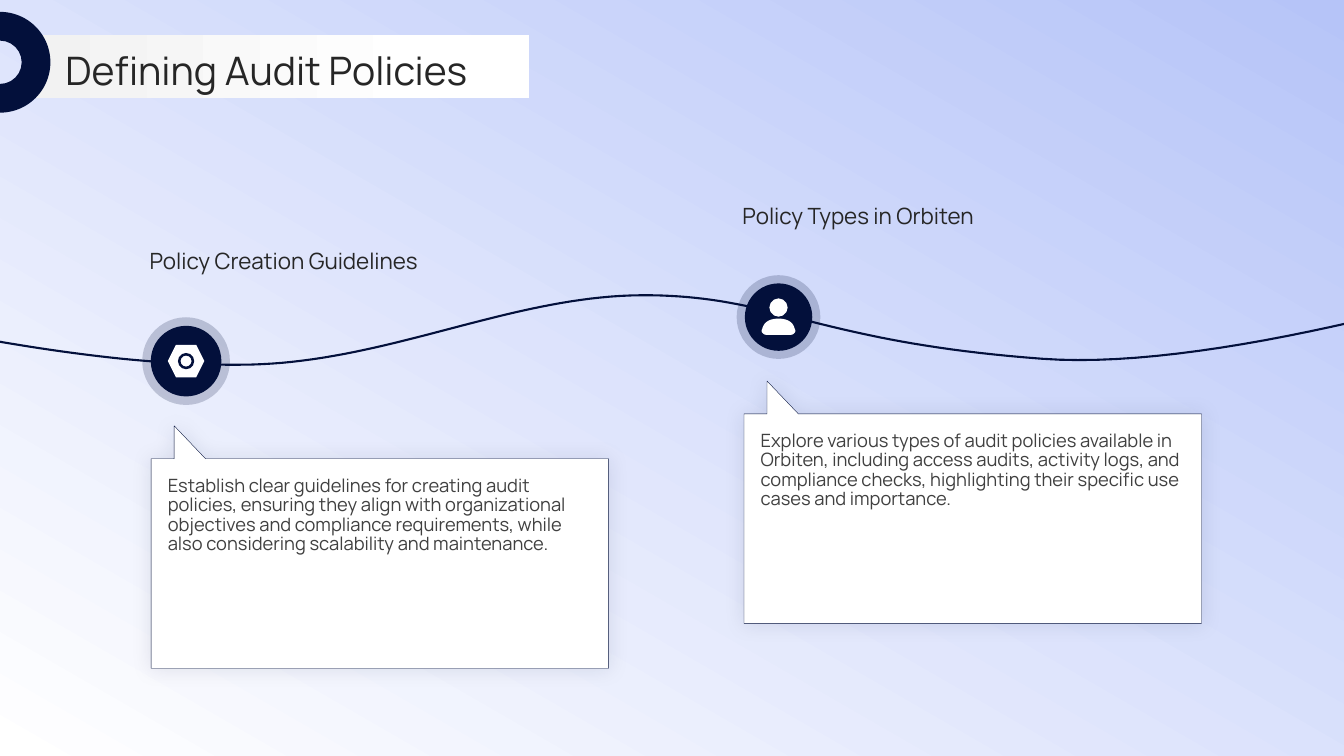
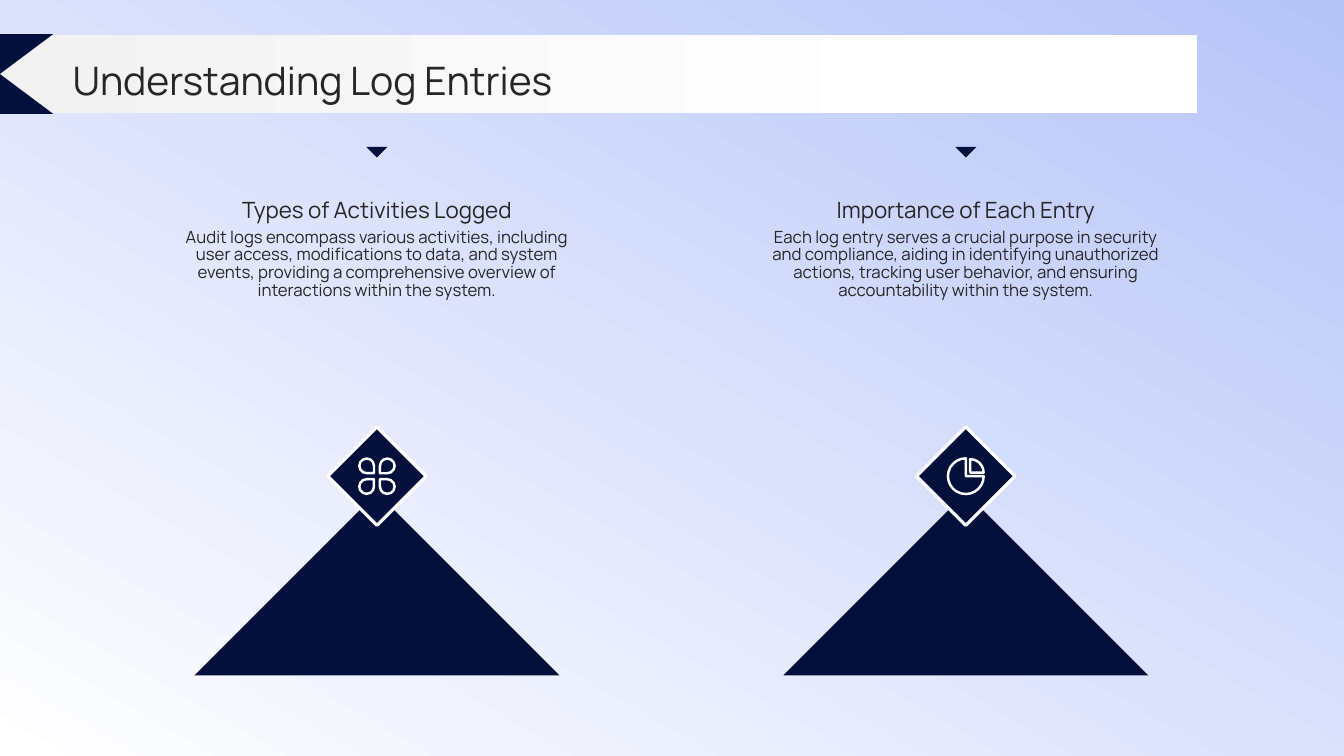
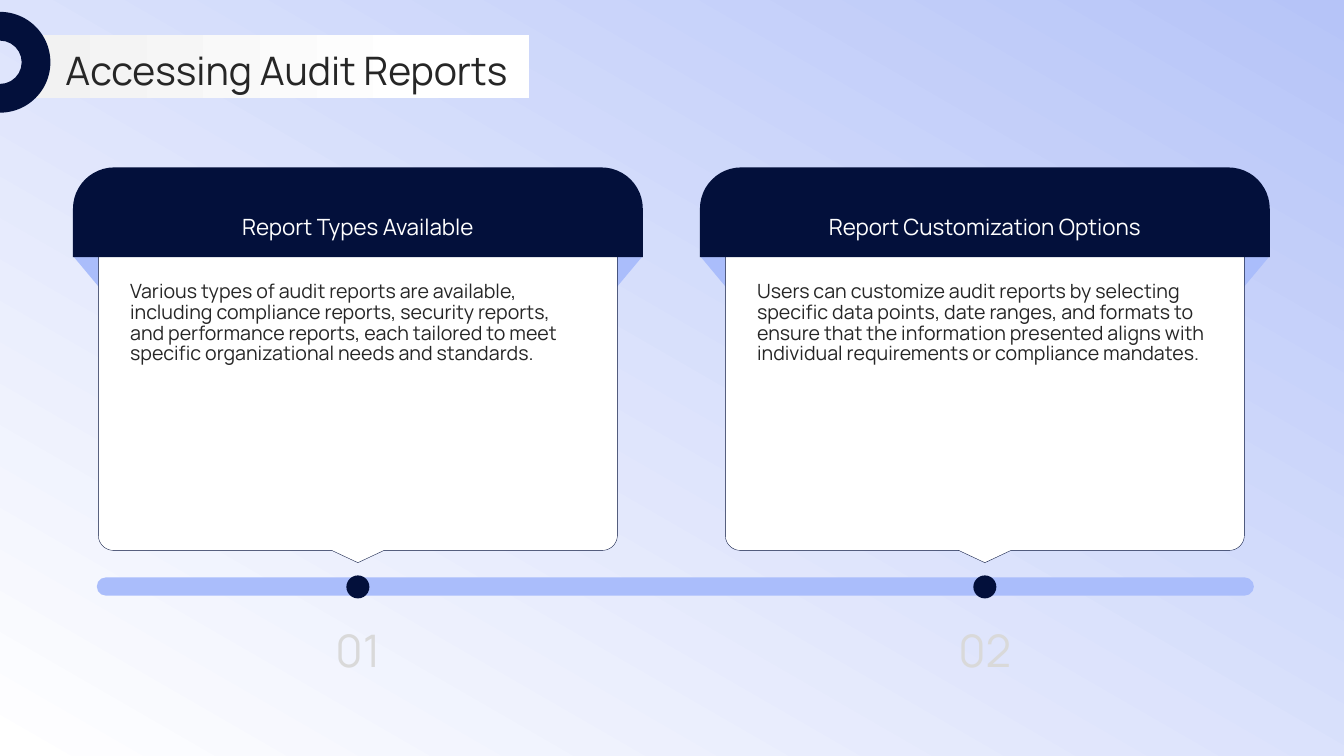
from lxml import etree
from pptx import Presentation
from pptx.dml.color import RGBColor
from pptx.enum.shapes import MSO_SHAPE
from pptx.enum.text import MSO_ANCHOR, MSO_AUTO_SIZE, PP_ALIGN
from pptx.oxml.ns import qn
from pptx.util import Cm, Pt

RECTANGLE, OVAL, ROUNDED = MSO_SHAPE.RECTANGLE, MSO_SHAPE.OVAL, MSO_SHAPE.ROUNDED_RECTANGLE
LEFT, CENTER = PP_ALIGN.LEFT, PP_ALIGN.CENTER
TOP, MIDDLE, BOTTOM = MSO_ANCHOR.TOP, MSO_ANCHOR.MIDDLE, MSO_ANCHOR.BOTTOM

WIDTH, HEIGHT = 33.87, 19.05
FONT = "Manrope"
NAVY, PERIWINKLE, SKY, WHITE = "03103B", "AABDFB", "B6C4F8", "FFFFFF"
INK, SOFT_INK, MIST, NUMBER_GREY = "262626", "404040", "F2F2F2", "D9D9D9"
BODY_SPACING = 0.88


def rgb(value):
    return RGBColor.from_string(value)


def paint_gradient(fill, first, last, angle, end=1.0):
    fill.gradient()
    fill.gradient_angle = angle
    for stop, color, position in zip(fill.gradient_stops, (first, last), (0, end)):
        stop.color.rgb = rgb(color)
        stop.position = position


def paint(shape, fill=None, line=None, weight=0.25):
    """Give a shape a flat fill and outline, either of which may be absent."""
    shape.shadow.inherit = False
    if fill:
        shape.fill.solid()
        shape.fill.fore_color.rgb = rgb(fill)
    else:
        shape.fill.background()
    if line:
        shape.line.color.rgb = rgb(line)
        shape.line.width = Pt(weight)
    else:
        shape.line.fill.background()
    return shape


def add_preset(page, kind, left, top, width, height, fill=None, line=None,
               weight=0.25, adjust=(), turn=0):
    shape = page.shapes.add_shape(kind, Cm(left), Cm(top), Cm(width), Cm(height))
    for index, value in enumerate(adjust):
        shape.adjustments[index] = value
    shape.rotation = turn
    return paint(shape, fill, line, weight)


def add_centered(page, kind, x, y, width, height=None, **style):
    height = height or width
    return add_preset(page, kind, x - width / 2, y - height / 2, width, height, **style)


def trace(start, *steps, samples=40):
    """Return points along steps: (x, y) is a line, six numbers a cubic curve."""
    points = [start]
    for step in steps:
        if len(step) == 2:
            points.append(step)
            continue
        x0, y0 = points[-1]
        x1, y1, x2, y2, x3, y3 = step
        for index in range(1, samples + 1):
            t = index / samples
            a, b, c, d = (1 - t) ** 3, 3 * t * (1 - t) ** 2, 3 * t * t * (1 - t), t ** 3
            points.append((a * x0 + b * x1 + c * x2 + d * x3,
                           a * y0 + b * y1 + c * y2 + d * y3))
    return points


def add_outline(page, points, fill=None, line=None, weight=0.25, close=True):
    corners = [(Cm(x), Cm(y)) for x, y in points]
    builder = page.shapes.build_freeform(*corners[0], scale=1.0)
    builder.add_line_segments(corners[1:], close=close)
    return paint(builder.convert_to_shape(), fill, line, weight)


def set_alpha(color_element, percent):
    etree.SubElement(color_element, qn("a:alpha"), val=str(percent * 1000))


def add_glow_shadow(shape):
    effects = shape._element.spPr.find(qn("a:effectLst"))
    shadow = etree.SubElement(effects, qn("a:outerShdw"), blurRad=str(Pt(15)),
                              dist="0", dir="0", algn="ctr", rotWithShape="0")
    set_alpha(etree.SubElement(shadow, qn("a:srgbClr"), val=NAVY), 10)


def write(shape, text, size, color, align=LEFT, anchor=TOP, spacing=1.0):
    frame = shape.text_frame
    frame.word_wrap = True
    frame.auto_size = MSO_AUTO_SIZE.NONE
    frame.margin_left = frame.margin_right = frame.margin_top = frame.margin_bottom = 0
    frame.vertical_anchor = anchor
    frame.text = text
    para = frame.paragraphs[0]
    para.alignment = align
    para.line_spacing = spacing
    para.font.name = FONT
    para.font.size = Pt(size)
    para.font.color.rgb = rgb(color)


def add_text(page, left, top, width, height, text, size, color, **style):
    box = page.shapes.add_textbox(Cm(left), Cm(top), Cm(width), Cm(height))
    write(box, text, size, color, **style)


def add_title(page, text, left, top, band):
    """Draw the title band and lay the title placeholder over it."""
    strip = add_preset(page, RECTANGLE, *band, fill=WHITE)
    paint_gradient(strip.fill, MIST, WHITE, 0, end=0.8)
    title = page.shapes.title
    title.left, title.top, title.width, title.height = Cm(left), Cm(top), Cm(30.18), Cm(1.3)
    write(title, text, 28, INK, anchor=MIDDLE)
    page.shapes._spTree.append(title._element)


def add_ring_title(page, text):
    add_title(page, text, 1.65, 1.12, (0.84, 0.89, 12.5, 1.57))
    add_preset(page, MSO_SHAPE.BLOCK_ARC, -1.27, 0.3, 2.54, 2.54, fill=NAVY,
               adjust=(108, 0, 0.285), turn=90)


def add_nut_icon(page, x, y):
    add_centered(page, MSO_SHAPE.HEXAGON, x, y, 0.92, 0.82, fill=WHITE)
    add_centered(page, MSO_SHAPE.DONUT, x, y, 0.41, fill=NAVY, adjust=(0.16,))


def add_person_icon(page, x, y):
    add_centered(page, OVAL, x, y - 0.24, 0.46, fill=WHITE)
    shoulders = trace((0, 0.04), (0.28, 0.04, 0.38, 0.17, 0.41, 0.3),
                      (0.46, 0.37, 0.38, 0.45, 0.3, 0.45), (-0.3, 0.45),
                      (-0.38, 0.45, -0.46, 0.37, -0.41, 0.3),
                      (-0.38, 0.17, -0.28, 0.04, 0, 0.04), samples=12)
    add_outline(page, [(x + dx, y + dy) for dx, dy in shoulders], fill=WHITE)


def add_petals_icon(page, x, y):
    for dx, dy, turn in ((-1, -1, 90), (1, -1, 180), (1, 1, 270), (-1, 1, 0)):
        add_centered(page, MSO_SHAPE.TEAR, x + 0.26 * dx, y + 0.26 * dy, 0.37,
                     line=WHITE, weight=1.75, turn=turn)


def add_pie_icon(page, x, y):
    for dx, dy, size, angles in ((0, 0, 0.9, (0, 162)), (0.11, -0.09, 0.68, (162, 0))):
        add_centered(page, MSO_SHAPE.PIE, x + dx, y + dy, size, line=WHITE,
                     weight=1.75, adjust=angles)


def add_wave(page):
    points = trace((-5.49, 7.52),
                   (-1.52, 8.36, 2.44, 9.22, 6.05, 9.19),
                   (9.63, 9.19, 12.78, 7.47, 16.15, 7.44),
                   (19.53, 7.42, 20.5, 8.61, 26.26, 9.04),
                   (32.03, 9.47, 42.8, 5.59, 44.63, 5))
    visible = [(x, y) for x, y in points if -0.5 <= x <= WIDTH + 0.5]
    add_outline(page, visible, line=NAVY, weight=1.5, close=False)


def add_badge(page, x, y, size, add_icon):
    halo = add_centered(page, OVAL, x, y, size, fill=NAVY)
    set_alpha(halo._element.spPr.find(".//" + qn("a:srgbClr")), 20)
    add_centered(page, OVAL, x, y, size * 0.805, fill=NAVY)
    add_icon(page, x, y)


def add_callout(page, left, top, heading, body):
    right, bottom = left + 11.53, top + 5.28
    bubble = add_outline(page, [(left, top), (left + 0.58, top), (left + 0.58, top - 0.83),
                                (left + 1.37, top), (right, top), (right, bottom),
                                (left, bottom)], fill=WHITE, line=NAVY)
    add_glow_shadow(bubble)
    add_text(page, left - 0.04, top - 5.33, 11.57, 0.86, heading, 16, INK)
    add_text(page, left + 0.42, top + 0.46, 10.64, 4.09, body, 13.1, SOFT_INK,
             spacing=BODY_SPACING)


def add_peak(page, x, heading, body, add_icon):
    """Draw a column: marker, heading, body and a mountain topped by an icon."""
    add_preset(page, MSO_SHAPE.FLOWCHART_MERGE, x - 0.27, 3.7, 0.54, 0.27, fill=NAVY)
    add_text(page, x - 5, 4.83, 10, 0.79, heading, 16, INK, align=CENTER, anchor=BOTTOM)
    add_text(page, x - 5, 5.77, 10, 3.12, body, 12, INK, align=CENTER,
             spacing=BODY_SPACING)
    add_preset(page, MSO_SHAPE.ISOSCELES_TRIANGLE, x - 4.6, 12.42, 9.2, 4.6, fill=NAVY)
    add_centered(page, MSO_SHAPE.DIAMOND, x, 12, 2.48, fill=NAVY, line=WHITE, weight=2.25)
    add_icon(page, x, 12)


def add_report_card(page, x, number, heading, body):
    """Draw a card around the centre x with its dot and number on the timeline."""
    half_header, half_panel, corner = 7.18, 6.54, 0.38
    header_top, header_bottom, bottom = 4.22, 6.48, 13.87
    for side in (-1, 1):
        outer, inner = x + side * half_header, x + side * (half_header - 0.81)
        add_outline(page, [(outer, 6.45), (inner, 6.45), (inner, 7.42)], fill=PERIWINKLE)
    left, right = x - half_panel, x + half_panel
    panel = trace((left, 5.08), (right, 5.08), (right, bottom - corner),
                  (right, bottom - 0.17, right - 0.17, bottom, right - corner, bottom),
                  (x + 0.66, bottom), (x, bottom + 0.31), (x - 0.66, bottom),
                  (left + corner, bottom),
                  (left + 0.17, bottom, left, bottom - 0.17, left, bottom - corner),
                  samples=12)
    add_outline(page, panel, fill=WHITE, line=NAVY)
    add_preset(page, MSO_SHAPE.ROUND_2_SAME_RECTANGLE, x - half_header, header_top,
               2 * half_header, header_bottom - header_top, fill=NAVY, adjust=(0.46, 0))
    add_text(page, x - 6.25, 4.7, 12.5, 1.35, heading, 16, WHITE, align=CENTER,
             anchor=BOTTOM)
    add_text(page, x - 5.74, 7.11, 11.48, 6.2, body, 14, INK, spacing=BODY_SPACING)
    add_centered(page, OVAL, x, 14.79, 0.58, fill=NAVY)
    add_text(page, x - 1.5, 15.58, 3, 1.6, number, 32, NUMBER_GREY, align=CENTER,
             anchor=MIDDLE)


def build_policies(page):
    add_wave(page)
    add_callout(page, 3.81, 11.56, "Policy Creation Guidelines",
                "Establish clear guidelines for creating audit policies, ensuring they "
                "align with organizational objectives and compliance requirements, while "
                "also considering scalability and maintenance.")
    add_callout(page, 18.75, 10.43, "Policy Types in Orbiten",
                "Explore various types of audit policies available in Orbiten, including "
                "access audits, activity logs, and compliance checks, highlighting their "
                "specific use cases and importance.")
    add_badge(page, 4.69, 9.1, 2.21, add_nut_icon)
    add_badge(page, 19.62, 7.99, 2.11, add_person_icon)
    add_ring_title(page, "Defining Audit Policies")


def build_log_entries(page):
    add_peak(page, 9.5, "Types of Activities Logged",
             "Audit logs encompass various activities, including user access, "
             "modifications to data, and system events, providing a comprehensive "
             "overview of interactions within the system.", add_petals_icon)
    add_peak(page, 24.34, "Importance of Each Entry",
             "Each log entry serves a crucial purpose in security and compliance, aiding "
             "in identifying unauthorized actions, tracking user behavior, and ensuring "
             "accountability within the system.", add_pie_icon)
    add_title(page, "Understanding Log Entries", 1.83, 1.35, (0, 0.89, 30.18, 1.96))
    add_preset(page, MSO_SHAPE.FLOWCHART_COLLATE, -1.35, 0.86, 2.69, 2.01, fill=NAVY)


def build_reports(page):
    add_preset(page, ROUNDED, 2.44, 14.55, 29.16, 0.46, fill=PERIWINKLE, adjust=(0.5,))
    add_report_card(page, 9.02, "01", "Report Types Available",
                    "Various types of audit reports are available, including compliance "
                    "reports, security reports, and performance reports, each tailored to "
                    "meet specific organizational needs and standards.")
    add_report_card(page, 24.82, "02", "Report Customization Options",
                    "Users can customize audit reports by selecting specific data points, "
                    "date ranges, and formats to ensure that the information presented "
                    "aligns with individual requirements or compliance mandates.")
    add_ring_title(page, "Accessing Audit Reports")


def main():
    deck = Presentation()
    deck.slide_width, deck.slide_height = Cm(WIDTH), Cm(HEIGHT)
    paint_gradient(deck.slide_master.background.fill, SKY, WHITE, 240)
    title_only = deck.slide_layouts[5]
    for build in (build_policies, build_log_entries, build_reports):
        build(deck.slides.add_slide(title_only))
    deck.save("out.pptx")


if __name__ == "__main__":
    main()
